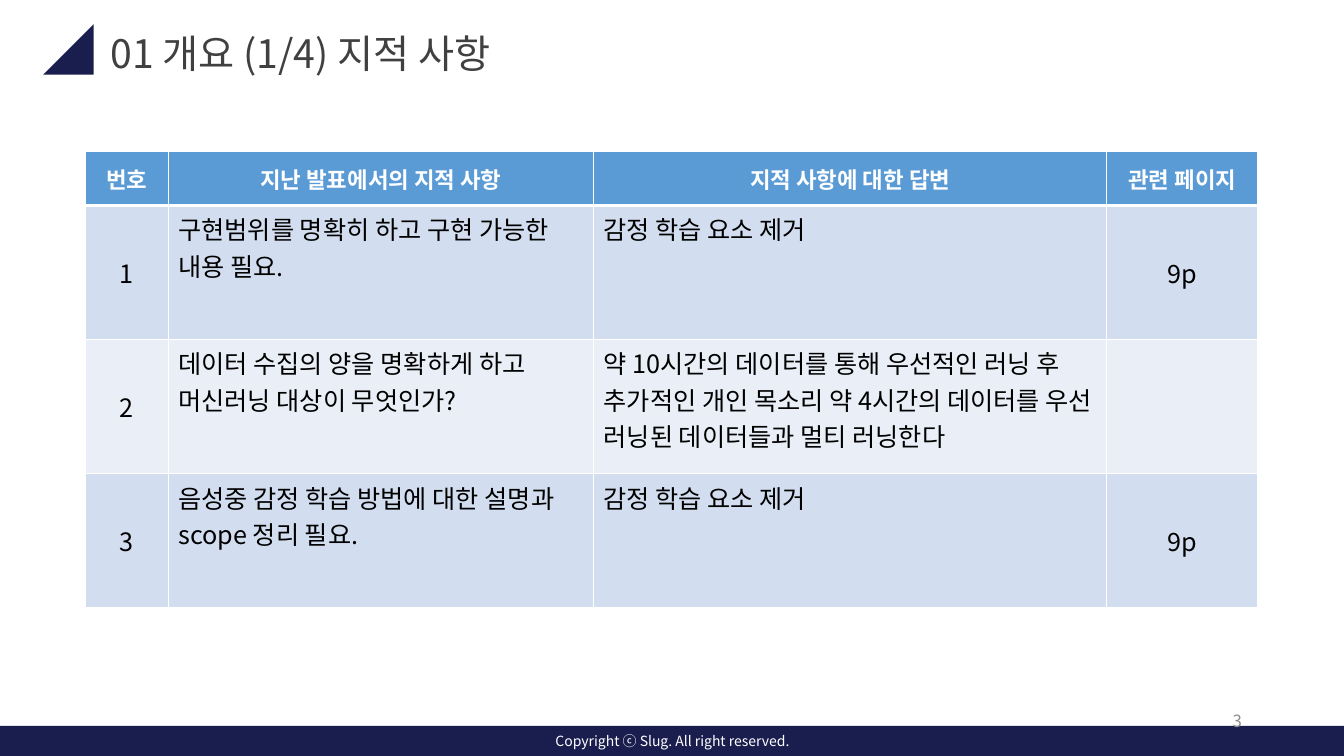
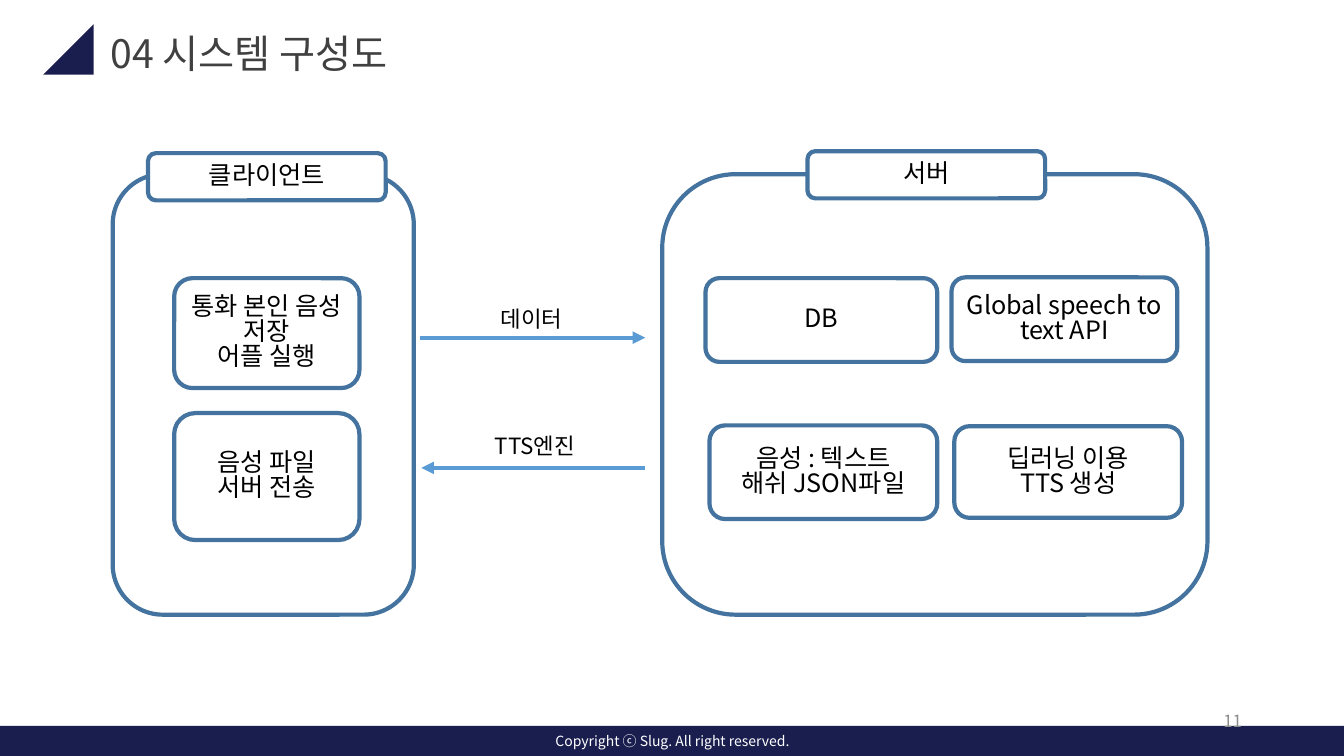
"""Build an overview table slide and a system diagram slide with a shared frame."""
from lxml import etree
from pptx import Presentation
from pptx.dml.color import RGBColor
from pptx.enum.shapes import MSO_CONNECTOR, MSO_SHAPE
from pptx.enum.text import MSO_ANCHOR, PP_ALIGN
from pptx.oxml.ns import qn
from pptx.util import Cm, Pt

RECT, ROUND, TRIANGLE = MSO_SHAPE.RECTANGLE, MSO_SHAPE.ROUNDED_RECTANGLE, MSO_SHAPE.RIGHT_TRIANGLE
STRAIGHT = MSO_CONNECTOR.STRAIGHT
LEFT, CENTER, RIGHT = PP_ALIGN.LEFT, PP_ALIGN.CENTER, PP_ALIGN.RIGHT
TOP, MIDDLE = MSO_ANCHOR.TOP, MSO_ANCHOR.MIDDLE

FONT = "Noto Sans CJK KR"
WHITE = RGBColor(0xFF, 0xFF, 0xFF)
BLACK = RGBColor(0x00, 0x00, 0x00)
NAVY = RGBColor(0x1A, 0x1E, 0x4E)
TITLE_GRAY = RGBColor(0x40, 0x40, 0x40)
NUMBER_GRAY = RGBColor(0x8C, 0x8C, 0x8C)
BLUE = RGBColor(0x5B, 0x9B, 0xD5)
OUTLINE = RGBColor(0x43, 0x73, 0x9E)
BANDS = [RGBColor(0xD2, 0xDE, 0xEF), RGBColor(0xEA, 0xEF, 0xF7)]


def write(tf, text, size, color, align=LEFT, bold=False, spacing=None):
    for i, line in enumerate(text.split("\n")):
        p = tf.paragraphs[0] if i == 0 else tf.add_paragraph()
        p.text = line
        p.alignment = align
        p.line_spacing = spacing
        font = p.font
        font.name, font.size, font.bold = FONT, Pt(size), bold
        font.color.rgb = color
        etree.SubElement(font._rPr, qn("a:ea"), typeface=FONT)


def add_box(s, kind, x, y, w, h, fill, outline=None):
    sp = s.shapes.add_shape(kind, Cm(x), Cm(y), Cm(w), Cm(h))
    sp.shadow.inherit = False
    sp.fill.solid()
    sp.fill.fore_color.rgb = fill
    if outline is None:
        sp.line.fill.background()
    else:
        sp.line.color.rgb = outline
        sp.line.width = Pt(3)
    return sp


prs = Presentation()
prs.slide_width, prs.slide_height = Cm(33.87), Cm(19.05)

slides = []
for title, number in [("01 개요 (1/4) 지적 사항", "3"), ("04 시스템 구성도", "11")]:
    s = prs.slides.add_slide(prs.slide_layouts[6])
    slides.append(s)
    add_box(s, RECT, 0, 18.29, 33.87, 0.76, NAVY)
    add_box(s, TRIANGLE, 1.09, 0.61, 1.27, 1.27, NAVY).rotation = 270
    for text, x, y, w, h, size, color, align, anchor in [
        ("Copyright ⓒ Slug. All right reserved.", 12.45, 18.34, 8.99, 0.69, 10, WHITE, CENTER, TOP),
        (title, 2.54, 0.61, 19.71, 1.44, 28, TITLE_GRAY, LEFT, TOP),
        (number, 23.93, 17.65, 7.62, 1.02, 12, NUMBER_GRAY, RIGHT, MIDDLE),
    ]:
        tf = s.shapes.add_textbox(Cm(x), Cm(y), Cm(w), Cm(h)).text_frame
        tf.word_wrap = True
        tf.vertical_anchor = anchor
        write(tf, text, size, color, align)

overview, diagram = slides

rows = [
    ["번호", "지난 발표에서의 지적 사항", "지적 사항에 대한 답변", "관련 페이지"],
    ["1", "구현범위를 명확히 하고 구현 가능한 내용 필요.", "감정 학습 요소 제거", "9p"],
    ["2", "데이터 수집의 양을 명확하게 하고 머신러닝 대상이 무엇인가?",
     "약 10시간의 데이터를 통해 우선적인 러닝 후 추가적인 개인 목소리 약 4시간의 데이터를 "
     "우선 러닝된 데이터들과 멀티 러닝한다", ""],
    ["3", "음성중 감정 학습 방법에 대한 설명과 scope 정리 필요.", "감정 학습 요소 제거", "9p"],
]
widths = [2.08, 10.72, 12.93, 3.81]
heights = [1.37, 3.38, 3.38, 3.38]
table = overview.shapes.add_table(
    len(rows), len(widths), Cm(2.16), Cm(3.81), Cm(sum(widths)), Cm(sum(heights))).table
for column, width in zip(table.columns, widths):
    column.width = Cm(width)
for i, (row, height) in enumerate(zip(rows, heights)):
    table.rows[i].height = Cm(height)
    header = i == 0
    for j, text in enumerate(row):
        cell = table.cell(i, j)
        tcPr = cell._tc.get_or_add_tcPr()
        for side in "LRTB":
            thick = (header and side == "B") or (i == 1 and side == "T")
            ln = etree.SubElement(tcPr, qn("a:ln" + side), w=str(Pt(3 if thick else 1)))
            fill = etree.SubElement(ln, qn("a:solidFill"))
            etree.SubElement(fill, qn("a:srgbClr"), val=str(WHITE))
        cell.fill.solid()
        cell.fill.fore_color.rgb = BLUE if header else BANDS[(i - 1) % 2]
        centered = header or j in (0, 3)
        cell.vertical_anchor = MIDDLE if centered else TOP
        write(cell.text_frame, text, 16 if header else 18, WHITE if header else BLACK,
              CENTER if centered else LEFT, header)

for text, x, y, w, h in [
    ("", 2.84, 4.39, 7.59, 11.1),
    ("", 16.69, 4.39, 13.74, 11.1),
    ("클라이언트", 3.73, 3.86, 5.99, 1.19),
    ("서버", 20.35, 3.81, 5.99, 1.19),
    ("통화 본인 음성 저장\n어플 실행", 4.39, 7.01, 4.67, 2.77),
    ("음성 파일\n서버 전송", 4.39, 10.41, 4.67, 3.2),
    ("DB", 17.78, 7.01, 5.84, 2.11),
    ("Global speech to text API", 23.98, 6.99, 5.69, 2.11),
    ("음성 : 텍스트\n해쉬 JSON파일", 17.88, 10.72, 5.74, 2.36),
    ("딥러닝 이용\nTTS 생성", 24.05, 10.74, 5.74, 2.31),
]:
    sp = add_box(diagram, ROUND, x, y, w, h, WHITE, OUTLINE)
    if text:
        tf = sp.text_frame
        tf.word_wrap = True
        tf.vertical_anchor = MIDDLE
        write(tf, text, 18, BLACK, CENTER, spacing=0.83)

for text, x, y, w, start, end, line_y in [
    ("데이터", 12.37, 7.57, 2.79, 10.59, 16.26, 8.51),
    ("TTS엔진", 12.22, 10.77, 3.53, 16.26, 10.62, 11.79),
]:
    arrow = diagram.shapes.add_connector(STRAIGHT, Cm(start), Cm(line_y), Cm(end), Cm(line_y))
    arrow.line.color.rgb = BLUE
    arrow.line.width = Pt(3)
    etree.SubElement(arrow.line._get_or_add_ln(), qn("a:tailEnd"), type="triangle")
    etree.SubElement(arrow._element.spPr, qn("a:effectLst"))
    tf = diagram.shapes.add_textbox(Cm(x), Cm(y), Cm(w), Cm(0.94)).text_frame
    tf.word_wrap = True
    write(tf, text, 16, BLACK)

prs.save("out.pptx")
